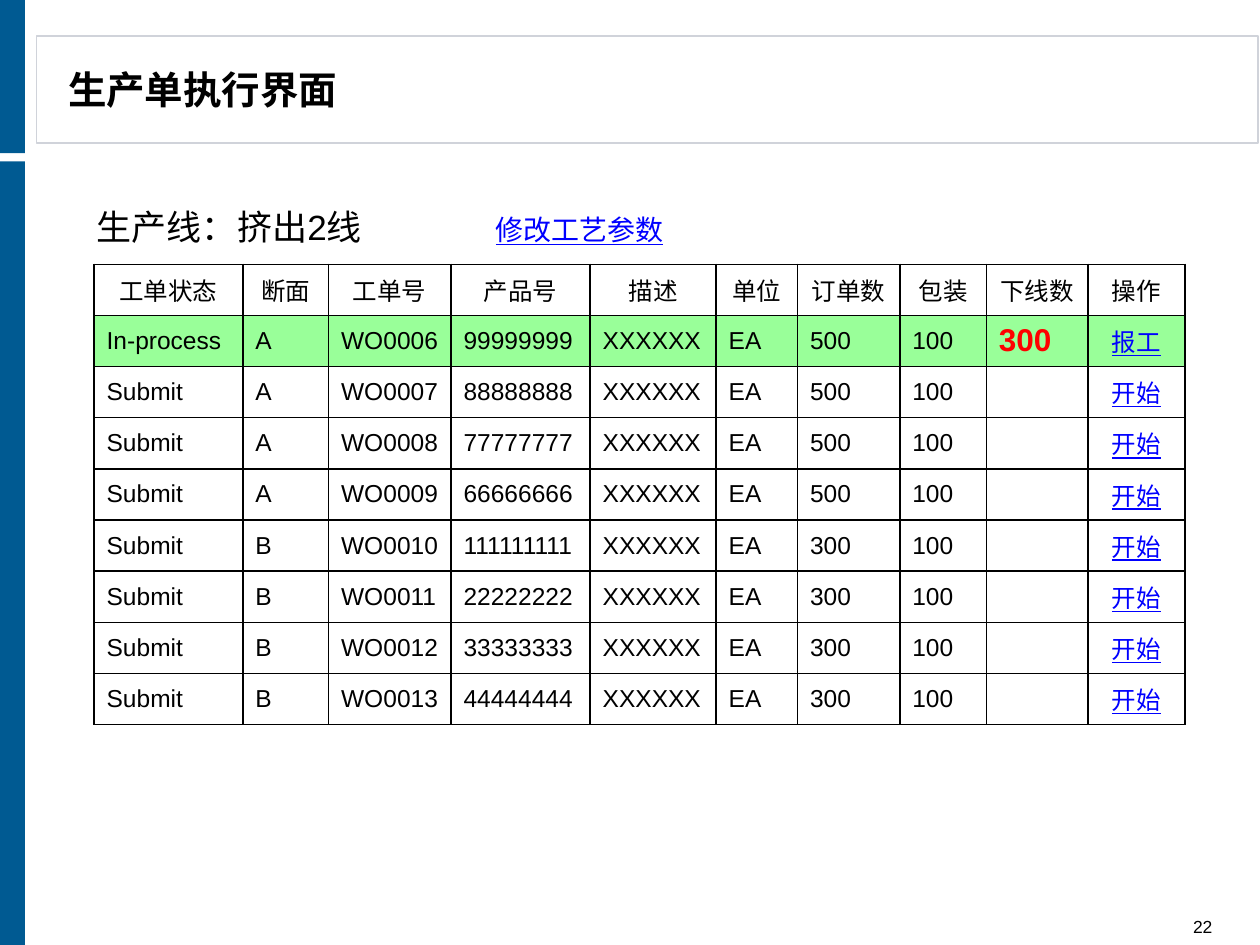
from lxml.etree import SubElement
from pptx import Presentation
from pptx.dml.color import RGBColor
from pptx.enum.shapes import MSO_SHAPE as SHAPE
from pptx.enum.text import MSO_ANCHOR as ANCHOR, PP_ALIGN as ALIGN
from pptx.oxml.ns import qn
from pptx.util import Pt

TITLE = "生产单执行界面"
LINE_LABEL, LINE_LINK = "生产线：挤出2线", "修改工艺参数"
PAGE = "22"
HEADERS = ["工单状态", "断面", "工单号", "产品号", "描述",
           "单位", "订单数", "包装", "下线数", "操作"]
# status, section, product, ordered, finished, action; numbered from WO0006
ORDERS = [
    ("In-process", "A", "99999999", "500", "300", "报工"),
    ("Submit", "A", "88888888", "500", "", "开始"),
    ("Submit", "A", "77777777", "500", "", "开始"),
    ("Submit", "A", "66666666", "500", "", "开始"),
    ("Submit", "B", "111111111", "300", "", "开始"),
    ("Submit", "B", "22222222", "300", "", "开始"),
    ("Submit", "B", "33333333", "300", "", "开始"),
    ("Submit", "B", "44444444", "300", "", "开始"),
]
FIRST_ORDER = 6
COL_WIDTHS = [85, 49, 70, 79.5, 72, 46.5, 58.5, 49.5, 58, 55.5]
ROW_HEIGHT = 29.25
FINISHED_COL, ACTION_COL = 8, 9

BLACK, WHITE, BLUE, GREY = "000000", "FFFFFF", "005A92", "D0D3DA"
LINK, RED, GREEN = "0000FF", "FF0000", "99FF99"


def color(hex_code):
    return RGBColor.from_string(hex_code)


def set_font(font, size, hex_code=BLACK, bold=False, underline=False):
    font.name, font.size = "Arial", Pt(size)
    font.bold, font.underline = bold, underline
    font.color.rgb = color(hex_code)


def add_rect(s, x, y, w, h, fill, line=None):
    sp = s.shapes.add_shape(SHAPE.RECTANGLE, Pt(x), Pt(y), Pt(w), Pt(h))
    sp.shadow.inherit = False
    sp.fill.solid()
    sp.fill.fore_color.rgb = color(fill)
    if line:
        sp.line.color.rgb = color(line)
        sp.line.width = Pt(0.75)
    else:
        sp.line.fill.background()


def add_text_box(s, x, y, w, h):
    tf = s.shapes.add_textbox(Pt(x), Pt(y), Pt(w), Pt(h)).text_frame
    tf.word_wrap = True
    return tf


def add_title(s):
    sp = s.shapes.title
    sp.left, sp.top, sp.width, sp.height = Pt(31.7), Pt(22.3), Pt(453.6), Pt(56.9)
    tf = sp.text_frame
    tf.text = TITLE
    tf.vertical_anchor = ANCHOR.MIDDLE
    tf.margin_top = tf.margin_bottom = 0
    p = tf.paragraphs[0]
    p.alignment = ALIGN.LEFT
    set_font(p.font, 22, bold=True)


def add_line_heading(s):
    p = add_text_box(s, 48.25, 113.75, 347, 31.7).paragraphs[0]
    tabs = SubElement(p._p.get_or_add_pPr(), qn("a:tabLst"))
    SubElement(tabs, qn("a:tab"), pos=str(Pt(228)), algn="l")
    label, link = p.add_run(), p.add_run()
    label.text, link.text = LINE_LABEL + "\t", LINE_LINK
    set_font(label.font, 20)
    set_font(link.font, 16, LINK, underline=True)


def add_page_number(s):
    tf = add_text_box(s, 632.2, 522.7, 67.7, 13)
    tf.margin_top = tf.margin_bottom = 0
    tf.vertical_anchor = ANCHOR.BOTTOM
    p = tf.paragraphs[0]
    p.text, p.alignment = PAGE, ALIGN.RIGHT
    set_font(p.font, 10)


def format_cell(cell, text, fill):
    cell.vertical_anchor = ANCHOR.MIDDLE
    tc_pr = cell._tc.get_or_add_tcPr()
    for side in ("lnL", "lnR", "lnT", "lnB"):
        ln = SubElement(tc_pr, qn(f"a:{side}"), w=str(Pt(1)))
        SubElement(SubElement(ln, qn("a:solidFill")), qn("a:srgbClr"), val=BLACK)
    cell.fill.solid()
    cell.fill.fore_color.rgb = color(fill)
    if text:
        cell.text = text


def add_order_table(s):
    rows = [HEADERS] + [
        [status, section, f"WO{number:04d}", product, "XXXXXX", "EA",
         ordered, "100", finished, action]
        for number, (status, section, product, ordered, finished, action)
        in enumerate(ORDERS, FIRST_ORDER)]
    table = s.shapes.add_table(
        len(rows), len(HEADERS), Pt(53.75), Pt(151),
        Pt(sum(COL_WIDTHS)), Pt(ROW_HEIGHT * len(rows))).table
    table.first_row = table.horz_banding = False
    for column, width in zip(table.columns, COL_WIDTHS):
        column.width = Pt(width)
    for i, row in enumerate(rows):
        table.rows[i].height = Pt(ROW_HEIGHT)
        for j, text in enumerate(row):
            cell = table.cell(i, j)
            format_cell(cell, text, GREEN if row[0] == "In-process" else WHITE)
            p = cell.text_frame.paragraphs[0]
            if i == 0 or j == ACTION_COL:
                p.alignment = ALIGN.CENTER
            if i and j == ACTION_COL:
                set_font(p.font, 14, LINK, underline=True)
            elif i and j == FINISHED_COL:
                set_font(p.font, 18, RED, bold=True)
            else:
                set_font(p.font, 14)


def main():
    prs = Presentation()
    prs.slide_width, prs.slide_height = Pt(720), Pt(540)
    s = prs.slides.add_slide(prs.slide_layouts[5])
    add_rect(s, 20.9, 20.5, 698, 61.2, WHITE, GREY)
    add_rect(s, 0, 92.2, 14.2, 447.8, BLUE)
    add_rect(s, 0, 0, 14.2, 87.6, BLUE)
    title = s.shapes.title._element
    title.getparent().append(title)  # bring the title in front of its frame
    add_title(s)
    add_page_number(s)
    add_line_heading(s)
    add_order_table(s)
    prs.save("out.pptx")


if __name__ == "__main__":
    main()
